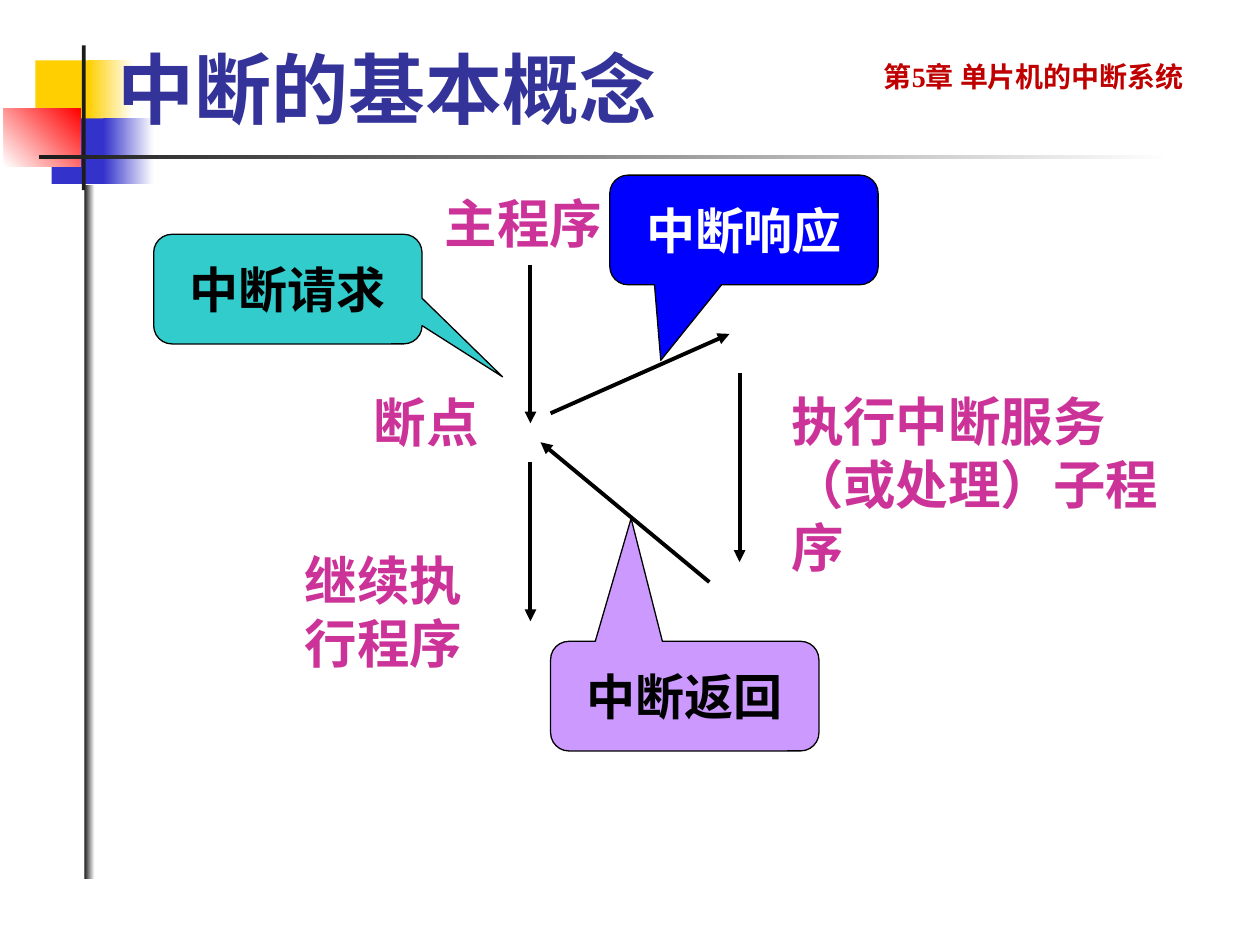
from lxml.etree import SubElement
from pptx import Presentation
from pptx.dml.color import RGBColor
from pptx.enum.shapes import MSO_CONNECTOR, MSO_SHAPE
from pptx.enum.text import MSO_ANCHOR, PP_ALIGN
from pptx.oxml.ns import qn
from pptx.util import Inches, Pt

COLORS = {
    "yellow": "FFCF01", "blue": "3333CC", "red": "FF0000", "dark": "1C1C1C",
    "white": "FFFFFF", "black": "000000", "pink": "CC3399", "title": "333399",
    "chapter": "C00000", "response": "0000FF", "return": "CC99FF", "request": "33CCCC",
}
SANS, SERIF = "Noto Sans CJK SC", "Times New Roman"
DECORATIONS = [
    ((0.28, 0.48, 0.48, 0.52), "yellow", None, 0),
    ((0.7, 0.48, 0.36, 0.52), "yellow", "white", 0),
    ((0.41, 0.94, 0.46, 0.52), "blue", None, 0),
    ((0.82, 0.94, 0.4, 0.52), "blue", "white", 0),
    ((0.03, 0.86, 0.61, 0.46), "white", "red", 45),
    ((0.65, 0.36, 0.03, 1.15), "dark", None, 0),
    ((0.31, 1.23, 9, 0.03), "dark", "white", 0),
    ((0.67, 1.47, 0.08, 5.51), "dark", "white", 0),
]
ARROWS = [
    (4.21, 2.1, 4.21, 3.36),
    (4.21, 3.67, 4.21, 4.93),
    (4.37, 3.28, 5.79, 2.65),
    (5.63, 4.62, 4.29, 3.51),
    (5.87, 2.96, 5.87, 4.46),
]
LABELS = [
    ("主程序", (3.43, 1.47, 1.46, 0.6), False),
    ("断点", (2.87, 3.05, 1.04, 0.6), False),
    ("执行中断服务（或处理）子程序", (6.18, 3.04, 3.23, 1.6), True),
    ("继续执行程序", (2.32, 4.3, 1.73, 1.1), True),
]
CALLOUTS = [
    ("中断响应", (4.84, 1.39), (-0.31, 1.19), "response", "white"),
    ("中断返回", (4.37, 5.09), (-0.2, -1.62), "return", "black"),
    ("中断请求", (1.22, 1.86), (0.8, 0.8), "request", "black"),
]
CALLOUT_SIZE = (2.13, 0.87)
TITLE = ("中断的基本概念", (0.83, 0.28, 6.85, 0.83))
CHAPTER = ("第5章 单片机的中断系统 ", (6.8, 0.42, 2.86, 0.37))


def rgb(name):
    return RGBColor.from_string(COLORS[name])


def inches(values):
    return [Inches(value) for value in values]


def write(shape, text, size, color, font=SANS, align=PP_ALIGN.LEFT, anchor=MSO_ANCHOR.TOP, wrap=True):
    frame = shape.text_frame
    frame.word_wrap = wrap
    frame.vertical_anchor = anchor
    paragraph = frame.paragraphs[0]
    paragraph.alignment = align
    run = paragraph.add_run()
    run.text = text
    run.font.size = Pt(size)
    run.font.bold = True
    run.font.name = font
    run.font.color.rgb = rgb(color)
    SubElement(run.font._element, qn("a:ea"), typeface=SANS)


def add_decoration(slide, box, start, end, angle):
    shape = slide.shapes.add_shape(MSO_SHAPE.RECTANGLE, *inches(box))
    shape.shadow.inherit = False
    shape.line.fill.background()
    if end is None:
        shape.fill.solid()
        shape.fill.fore_color.rgb = rgb(start)
        return
    shape.fill.gradient()
    shape.fill.gradient_angle = angle
    for stop, position, color in zip(shape.fill.gradient_stops, (0, 1), (start, end)):
        stop.position = position
        stop.color.rgb = rgb(color)


def add_arrow(slide, points):
    arrow = slide.shapes.add_connector(MSO_CONNECTOR.STRAIGHT, *inches(points))
    arrow.line.color.rgb = rgb("black")
    arrow.line.width = Pt(2.25)
    SubElement(arrow.line._get_or_add_ln(), qn("a:tailEnd"), type="triangle")
    SubElement(arrow._element.spPr, qn("a:effectLst"))


def add_callout(slide, text, corner, tip, fill, color):
    shape = slide.shapes.add_shape(MSO_SHAPE.ROUNDED_RECTANGULAR_CALLOUT, *inches(corner + CALLOUT_SIZE))
    shape.shadow.inherit = False
    shape.adjustments[0], shape.adjustments[1] = tip
    shape.fill.solid()
    shape.fill.fore_color.rgb = rgb(fill)
    shape.line.color.rgb = rgb("black")
    shape.line.width = Pt(0.75)
    write(shape, text, 28, color, SERIF, PP_ALIGN.CENTER, MSO_ANCHOR.MIDDLE)


def main():
    presentation = Presentation()
    presentation.slide_width, presentation.slide_height = inches((10, 7.5))
    slide = presentation.slides.add_slide(presentation.slide_layouts[5])
    for decoration in DECORATIONS:
        add_decoration(slide, *decoration)
    for points in ARROWS:
        add_arrow(slide, points)
    for text, box, wrap in LABELS:
        write(slide.shapes.add_textbox(*inches(box)), text, 30, "pink", wrap=wrap)
    for callout in CALLOUTS:
        add_callout(slide, *callout)
    title = slide.shapes.title
    text, box = TITLE
    title.left, title.top, title.width, title.height = inches(box)
    write(title, text, 44, "title")
    slide.shapes._spTree.append(title._element)
    text, box = CHAPTER
    write(slide.shapes.add_textbox(*inches(box)), text, 16, "chapter", SERIF, PP_ALIGN.CENTER)
    presentation.save("out.pptx")


if __name__ == "__main__":
    main()
